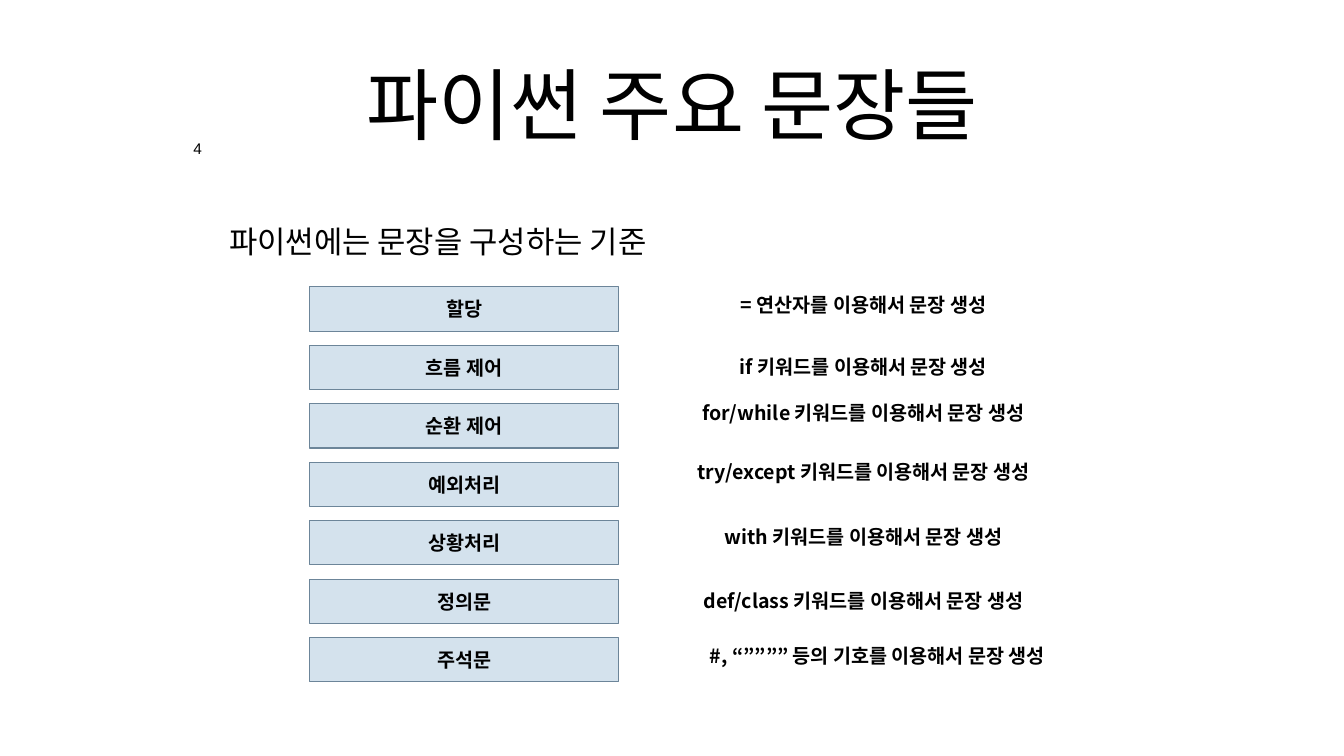
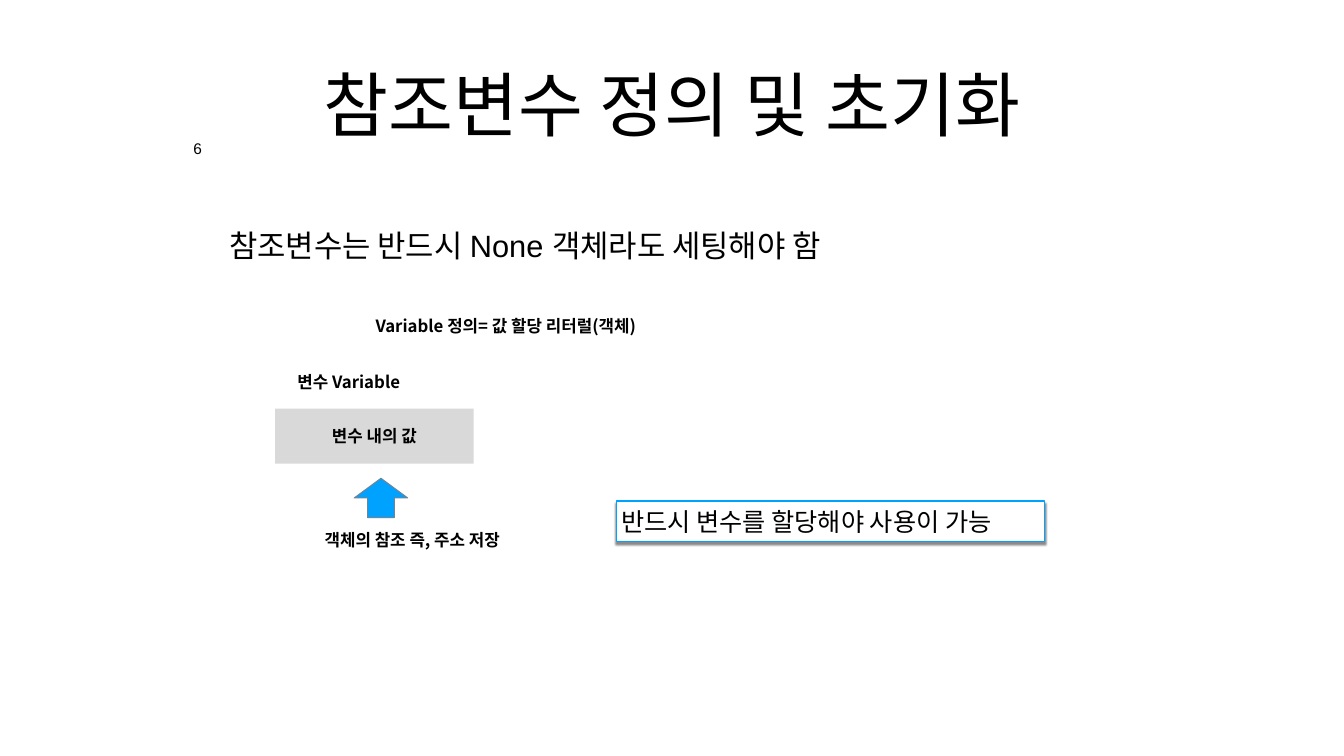
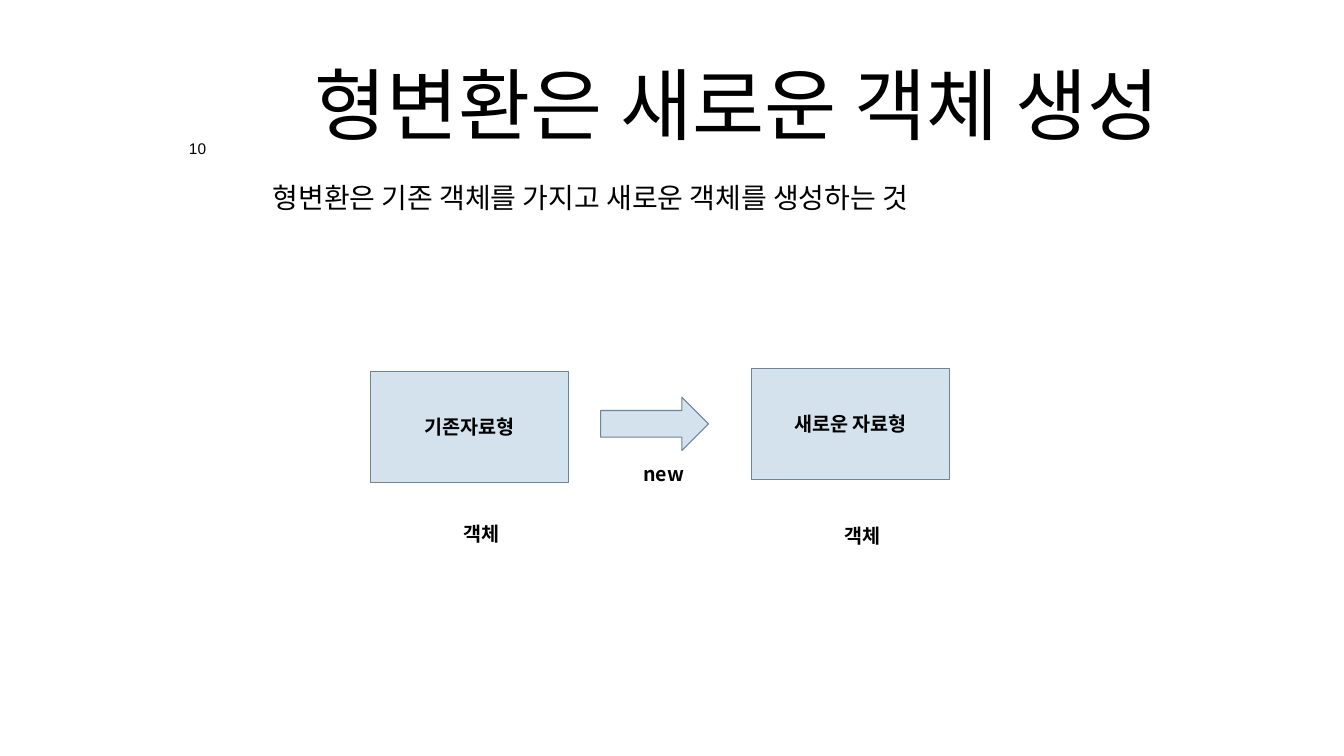
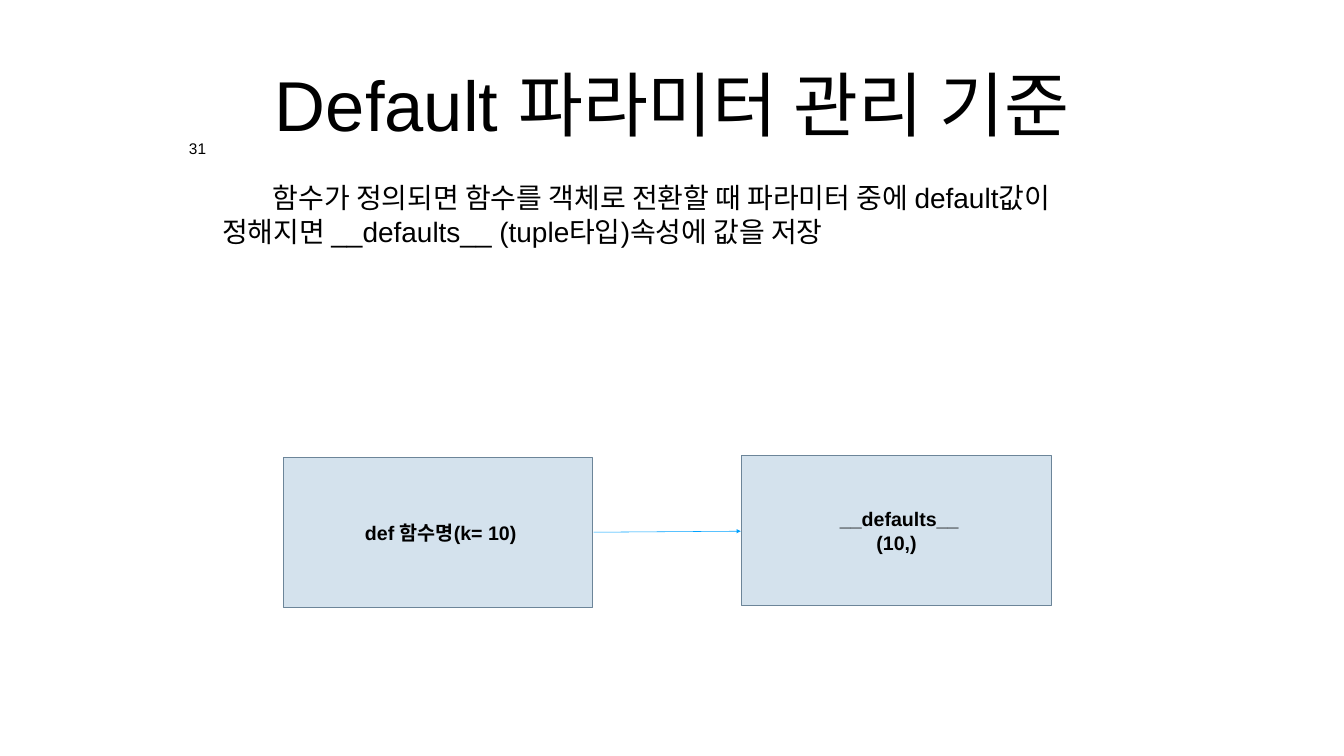
import pptx
import pptx.dml.color
import pptx.enum.shapes
import pptx.enum.text
import pptx.oxml
import pptx.oxml.ns
import pptx.util
from lxml import etree

Inches = pptx.util.Inches
Pt = pptx.util.Pt
MSO_SHAPE = pptx.enum.shapes.MSO_SHAPE
ANCHOR = pptx.enum.text.MSO_ANCHOR
ALIGN = pptx.enum.text.PP_ALIGN
qn = pptx.oxml.ns.qn

BLACK = "000000"
WHITE = "FFFFFF"
PALE_BLUE = "D4E2ED"
SLATE = "6C8599"
BLUE = "00A2FF"
GRAY = "D9D9D9"
SANS = "Arial"
KOREAN = "Noto Sans CJK KR"


def rgb(value):
    return pptx.dml.color.RGBColor.from_string(value)


def write(sp, text, size, font=KOREAN, bold=False, align=ALIGN.CENTER,
          anchor=ANCHOR.MIDDLE, inset=(0.1, 0.1), wrap=True, indent=0, spacing=None):
    tf = sp.text_frame
    tf.word_wrap = wrap
    tf.vertical_anchor = anchor
    tf.margin_left = tf.margin_right = Inches(inset[0])
    tf.margin_top = tf.margin_bottom = Inches(inset[1])
    tf.text = text
    for p in tf.paragraphs:
        p.alignment = align
        if indent:
            p._p.get_or_add_pPr().set("indent", str(Inches(indent)))
        if spacing:
            p.line_spacing = spacing
        p.font.size = Pt(size)
        p.font.name = font
        p.font.bold = bold
        p.font.color.rgb = rgb(BLACK)


def add_text(s, box, text, size, **style):
    sp = s.shapes.add_textbox(*map(Inches, box))
    write(sp, text, size, **style)
    return sp


def add_label(s, box, text, size=28):
    add_text(s, box, text, size, bold=True, anchor=ANCHOR.TOP, inset=(0.1, 0.05))


def add_block(s, box, text="", size=28, font=KOREAN, shape=MSO_SHAPE.RECTANGLE,
              fill=PALE_BLUE, line=SLATE):
    sp = s.shapes.add_shape(shape, *map(Inches, box))
    sp.shadow.inherit = False
    sp.fill.solid()
    sp.fill.fore_color.rgb = rgb(fill)
    if line:
        sp.line.color.rgb = rgb(line)
        sp.line.width = Pt(1.5)
    else:
        sp.line.fill.background()
    if text:
        write(sp, text, size, font=font, bold=True)
    return sp


def add_drop_shadow(sp):
    effects = sp._element.spPr.find(qn("a:effectLst"))
    shadow = etree.SubElement(effects, qn("a:outerShdw"), blurRad=str(Pt(3)),
                              dist=str(Pt(2.4)), dir="5400000", rotWithShape="0")
    color = etree.SubElement(shadow, qn("a:srgbClr"), val=BLACK)
    etree.SubElement(color, qn("a:alpha"), val="45000")


def add_arrow_line(s, start, end):
    cn = s.shapes.add_connector(pptx.enum.shapes.MSO_CONNECTOR.STRAIGHT,
                                *map(Inches, start + end))
    cn.line.color.rgb = rgb(BLUE)
    cn.line.width = Pt(0.79)
    etree.SubElement(cn.line._get_or_add_ln(), qn("a:tailEnd"), type="triangle")
    etree.SubElement(cn._element.spPr, qn("a:effectLst"))


def add_slide(prs, title, number, title_size=112, title_width=17.07):
    s = prs.slides.add_slide(prs.slide_layouts[6])
    s.background.fill.solid()
    s.background.fill.fore_color.rgb = rgb(WHITE)
    add_text(s, (4.8, 0.39, title_width, 3.32), title, title_size,
             font=SANS, inset=(0.08, 0.08))
    width = 0.33 if number < 10 else 0.5
    add_text(s, (3.92 - width / 2, 2.75, width, 0.45), str(number), 22, font=SANS,
             anchor=ANCHOR.TOP, inset=(0.08, 0.08), wrap=False, spacing=0.8)
    return s


def add_lead(s, box, text):
    add_text(s, box, text, 44, font=SANS, align=ALIGN.LEFT, inset=(0.08, 0.08))


def add_indented_lead(s, box, text):
    add_text(s, box, text, 40, font=SANS, align=ALIGN.LEFT, anchor=ANCHOR.TOP,
             inset=(0.08, 0.08), indent=1)


def statement_list(s, x, y, rows):
    for i, (name, rule, dx, dy) in enumerate(rows):
        add_block(s, (x, y + 1.16 * i, 6.14, 0.88), name)
        add_label(s, (x + dx, y + dy, 7.72, 0.57), rule)


def variable_diagram(s, x, y):
    add_label(s, (x, y, 9.87, 0.5), "Variable 정의= 값 할당 리터럴(객체)", 24)
    add_label(s, (x, y + 1.1, 3.64, 0.5), "변수 Variable", 24)
    add_block(s, (x + 0.36, y + 1.89, 3.94, 1.09), "변수 내의 값", 24,
              fill=GRAY, line=None)
    add_block(s, (x + 1.93, y + 3.27, 1.06, 0.78), shape=MSO_SHAPE.UP_ARROW, fill=BLUE)
    add_label(s, (x + 1.22, y + 4.24, 3.72, 0.91), "객체의 참조 즉, 주소 저장", 24)


def notice(s, box, text):
    sp = add_block(s, box, fill=WHITE, line=BLUE)
    add_drop_shadow(sp)
    write(sp, text, 36, align=ALIGN.LEFT)


def conversion_diagram(s, x, y):
    for dx, dy, name, label_y in ((0, 0.06, "기존자료형", 3), (7.56, 0, "새로운 자료형", 3.03)):
        add_block(s, (x + dx, y + dy, 3.94, 2.2), name)
        add_label(s, (x + dx + 1.1, y + label_y, 2.2, 0.57), "객체")
    add_block(s, (x + 4.57, y + 0.57, 2.14, 1.06), shape=MSO_SHAPE.RIGHT_ARROW)
    add_label(s, (x + 4.72, y + 1.8, 2.2, 0.57), "new")


def defaults_diagram(s, x, y):
    add_block(s, (x, y + 0.04, 6.14, 2.99), " def 함수명(k= 10)", font=SANS)
    add_block(s, (x + 9.1, y, 6.14, 2.99), " __defaults__\n(10,)", font=SANS)
    add_arrow_line(s, (x + 6.16, y + 1.53), (x + 9.08, y + 1.51))


def main():
    prs = pptx.Presentation()
    prs.slide_width, prs.slide_height = Inches(26.67), Inches(15)

    s = add_slide(prs, "파이썬 주요 문장들", 4)
    add_lead(s, (4.33, 3.5, 18, 2.58), " 파이썬에는 문장을 구성하는 기준")
    statement_list(s, 6.14, 5.69, [
        ("할당", " = 연산자를 이용해서 문장 생성", 7.09, 0.08),
        ("흐름 제어", " if 키워드를 이용해서 문장 생성", 7.09, 1.3),
        ("순환 제어", " for/while 키워드를 이용해서 문장 생성", 7.09, 2.21),
        ("예외처리", " try/except 키워드를 이용해서 문장 생성", 7.09, 3.38),
        ("상황처리", " with 키워드를 이용해서 문장 생성", 7.09, 4.68),
        ("정의문", " def/class 키워드를 이용해서 문장 생성", 7.09, 5.94),
        ("주석문", "#, “”””” 등의 기호를 이용해서 문장 생성", 7.41, 7.04),
    ])

    s = add_slide(prs, "참조변수 정의 및 초기화", 6, title_size=100.8)
    add_lead(s, (4.33, 3.56, 18, 2.6), " 참조변수는 반드시 None 객체라도 세팅해야 함")
    variable_diagram(s, 5.1, 6.22)
    notice(s, (12.23, 9.94, 8.5, 0.81), "반드시 변수를 할당해야 사용이 가능")

    s = add_slide(prs, " 형변환은 새로운 객체 생성", 10, title_width=19.31)
    add_indented_lead(s, (4.33, 3.5, 18, 2.43),
                      "형변환은 기존 객체를 가지고 새로운 객체를 생성하는 것")
    conversion_diagram(s, 7.35, 7.31)

    s = add_slide(prs, "Default 파라미터 관리 기준", 31, title_size=100.8)
    add_indented_lead(s, (4.33, 3.5, 18, 4.31),
                      "함수가 정의되면 함수를 객체로 전환할 때 파라미터 중에 default값이 "
                      "정해지면 __defaults__ (tuple타입)속성에 값을 저장")
    defaults_diagram(s, 5.62, 9.03)

    prs.save("out.pptx")


if __name__ == "__main__":
    main()
